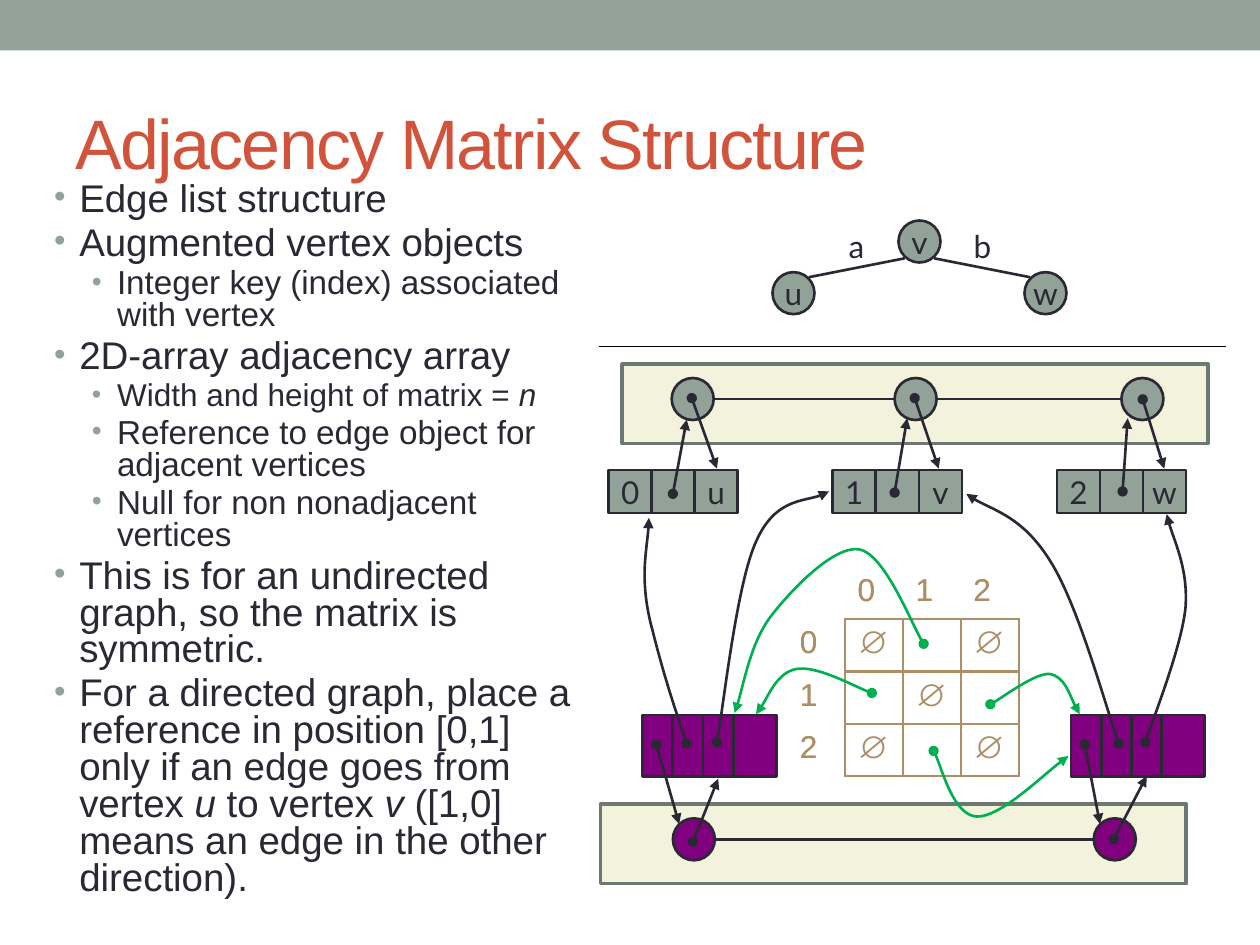
from itertools import accumulate

from lxml import etree
from pptx import Presentation
from pptx.dml.color import RGBColor
from pptx.enum.shapes import MSO_CONNECTOR as LINK, MSO_SHAPE as SHAPE
from pptx.enum.text import MSO_ANCHOR as ANCHOR, PP_ALIGN as ALIGN
from pptx.oxml.ns import qn
from pptx.util import Pt

INK, SAGE, PURPLE, TAN, GREEN = "292934", "93A299", "800080", "AD8F67", "00B050"
CREAM, PANEL_EDGE, RED = "F3F2DC", "6D7871", "D2533C"
NODE = 24

OUTLINE = [  # level, size, runs (every second run is italic)
    (0, 22, ["Edge list structure"]),
    (0, 22, ["Augmented vertex objects"]),
    (1, 19, ["Integer key (index) associated with vertex"]),
    (0, 22, ["2D-array adjacency array"]),
    (1, 18, ["Width and height of matrix = ", "n"]),
    (1, 19, ["Reference to edge object for adjacent vertices"]),
    (1, 19, ["Null for non nonadjacent vertices"]),
    (0, 22, ["This is for an undirected graph, so the matrix is symmetric."]),
    (0, 22, ["For a directed graph, place a reference in position [0,1] only if "
             "an edge goes from vertex ", "u", " to vertex ", "v",
             " ([1,0] means an edge in the other direction)."]),
]
INDEXES = ["0", "1", "2"]
NO_ENTRIES = [["", "", ""]] * 3
NULL_ENTRIES = [["∅", "", "∅"], ["", "∅", ""], ["∅", "", "∅"]]

# Paths of two points are straight; longer ones are Bezier curves
RECORD_REFS = [
    [(56, 281), (70.4, 245)], [(296.5, 279.5), (315.2, 243.5)],
    [(55.3, 27.5), (69.7, 67.8)], [(182.7, 27.5), (196.4, 67.8)], [(313, 28.2), (325.3, 67.8)],
    [(44.5, 82.2), (52.4, 39.8)], [(171.2, 81.5), (178.4, 39)], [(301.5, 80.8), (304.4, 39)],
    [(35.1, 225.5), (48.1, 270.9)], [(279.9, 225.5), (288.6, 270.9)],
    [(69.7, 224.1), (73.3, 204.6), (81.2, 133.4), (92, 109.6),
     (102.8, 85.1), (125.1, 86.6), (133.8, 80.8)],
    [(52.4, 224.8), (48.8, 214), (40.2, 189.5), (33, 160.7),
     (25, 131.9), (30.8, 109.6), (30.8, 95.9)],
    [(299.4, 224.8), (292.9, 207.5), (276.3, 146.3), (260.5, 121.1),
     (244.6, 95.2), (222.3, 90.2), (212.2, 82.2)],
    [(314.5, 224.1), (318.8, 211.1), (335.4, 168.6), (337.5, 147),
     (339, 125.4), (328.9, 104.6), (326.7, 93.8)],
]
MATRIX_REFS = [
    [(158.2, 196), (151, 193.8), (126.6, 180.2), (115, 182.3),
     (104.2, 184.5), (97, 202.5), (92, 208.2)],
    [(187.8, 167.9), (182, 159.3), (165.4, 116.8), (151, 113.9), (136.6, 111.8),
     (112.9, 136.2), (100.6, 152.1), (89.1, 167.2), (84.1, 196), (79.8, 207.5)],
    [(225.9, 202.5), (231.7, 199.6), (251.8, 184.5), (259.8, 185.2),
     (268.4, 186.6), (273.4, 203.2), (277, 208.2)],
    [(193.5, 229.1), (197.1, 234.9), (205, 265.8), (218, 266.6),
     (231, 267.3), (259.8, 239.2), (270.6, 232)],
]


def rgb(colour):
    return RGBColor.from_string(colour)


def set_font(font, colour, **values):
    font.color.rgb = rgb(colour)
    for name, value in values.items():
        setattr(font, name, value)


def set_frame(frame, **values):
    for name, value in values.items():
        setattr(frame, name, value)


def add_xml(parent, tag, **attributes):
    return etree.SubElement(parent, qn(tag), attributes)


def write_label(shape, text):
    set_frame(shape.text_frame, word_wrap=False, vertical_anchor=ANCHOR.MIDDLE,
              margin_left=0, margin_right=0, margin_top=0, margin_bottom=0)
    paragraph = shape.text_frame.paragraphs[0]
    paragraph.text, paragraph.alignment = text, ALIGN.CENTER
    set_font(paragraph.font, INK, name="Lato", size=Pt(18))


def add_block(slide, kind, box, fill, label="", edge=INK, weight=1.5):
    block = slide.shapes.add_shape(kind, *map(Pt, box))
    block.shadow.inherit = False
    block.fill.solid()
    block.fill.fore_color.rgb = rgb(fill)
    if edge:
        block.line.color.rgb, block.line.width = rgb(edge), Pt(weight)
    else:
        block.line.fill.background()
    if label:
        write_label(block, label)


def add_line(slide, start, end, colour=INK, weight=1.5):
    line = slide.shapes.add_connector(LINK.STRAIGHT, *map(Pt, (*start, *end)))
    line.line.color.rgb, line.line.width = rgb(colour), Pt(weight)
    add_xml(line._element.spPr, "a:effectLst")
    return line


def add_curve(slide, points, colour):
    corners = [(Pt(x), Pt(y)) for x, y in points]
    builder = slide.shapes.build_freeform(*corners[0])
    builder.add_line_segments(corners[1:], close=False)
    curve = builder.convert_to_shape()
    curve.shadow.inherit = False
    curve.fill.background()
    curve.line.color.rgb, curve.line.width = rgb(colour), Pt(1.5)
    # Each three straight segments become one cubic segment
    segments = list(curve._element.iter(qn("a:lnTo")))
    outline = segments[0].getparent()
    for first in range(0, len(segments), 3):
        cubic = add_xml(outline, "a:cubicBezTo")
        for segment in segments[first:first + 3]:
            cubic.append(segment[0])
            outline.remove(segment)
    return curve


def add_title(slide, box, text):
    title = slide.shapes.title
    title.left, title.top, title.width, title.height = map(Pt, box)
    set_frame(title.text_frame, text=text, vertical_anchor=ANCHOR.MIDDLE, word_wrap=True)
    paragraph = title.text_frame.paragraphs[0]
    paragraph.alignment = ALIGN.LEFT
    run = paragraph.runs[0]
    set_font(run.font, RED, name="Arial", size=Pt(40))
    run._r.get_or_add_rPr().set("spc", "-100")


def add_outline(slide, box):
    frame = slide.shapes.add_textbox(*map(Pt, box)).text_frame
    frame.word_wrap = True
    for index, (level, size, runs) in enumerate(OUTLINE):
        paragraph = frame.add_paragraph() if index else frame.paragraphs[0]
        paragraph.level, paragraph.line_spacing = level, 0.8
        if index:
            paragraph.space_before = Pt(round(0.18 * size, 1))
        properties = paragraph._p.get_or_add_pPr()
        properties.set("marL", str(Pt(14.4 + 21.6 * level)))
        properties.set("indent", str(-Pt(14.4)))
        add_xml(add_xml(properties, "a:buClr"), "a:srgbClr", val=SAGE)
        add_xml(properties, "a:buSzPct", val="85000")
        add_xml(properties, "a:buFont", typeface="Arial")
        add_xml(properties, "a:buChar", char="•")
        for place, text in enumerate(runs):
            run = paragraph.add_run()
            run.text = text
            set_font(run.font, INK, name="Arial", size=Pt(size), italic=place % 2 == 1)


def add_sketch(slide, left, top):
    """The small graph: u - a - v - b - w."""
    for start, end in [((75.6, 21.6), (20.8, 32.4)), ((92.4, 21.6), (147.2, 32.4))]:
        add_line(slide, (left + start[0], top + start[1]), (left + end[0], top + end[1]))
    for name, x, y in [("u", 0, 29.5), ("v", 72, 0), ("w", 144, 29.5)]:
        add_block(slide, SHAPE.OVAL, (left + x, top + y, NODE, NODE), SAGE, name)
    for name, x in [("a", 36), ("b", 108)]:
        write_label(slide.shapes.add_textbox(*map(Pt, (left + x, top, 24, 28.8))), name)


def add_sequence(slide, box, fill, offsets):
    """A panel holding a chain of list nodes."""
    left, top = box[:2]
    add_block(slide, SHAPE.RECTANGLE, box, CREAM, edge=PANEL_EDGE, weight=2.08)
    middle = top + 8 + NODE / 2
    add_line(slide, (left + offsets[-1], middle), (left + offsets[0] + NODE, middle))
    for offset in offsets:
        add_block(slide, SHAPE.OVAL, (left + offset, top + 8, NODE, NODE), fill)


def add_record(slide, left, top, height, widths, fill, labels):
    for x, width, label in zip(accumulate(widths, initial=left), widths, labels):
        add_block(slide, SHAPE.RECTANGLE, (x, top, width, height), fill, label)


def add_matrix(slide, left, top, cell_width, cell_height, entries):
    rows = [["", *INDEXES]] + [[index, *line] for index, line in zip(INDEXES, entries)]
    count = len(rows)
    table = slide.shapes.add_table(count, count, *map(Pt, (
        left, top, count * cell_width, count * cell_height))).table
    table.first_row = table.horz_banding = False
    for row, texts in enumerate(rows):
        table.rows[row].height = Pt(cell_height)
        table.columns[row].width = Pt(cell_width)
        for column, text in enumerate(texts):
            cell = table.cell(row, column)
            cell.text = text
            set_font(cell.text_frame.paragraphs[0].font, TAN, name="Arial",
                     size=Pt(18), bold=text == "∅")
            properties = cell._tc.get_or_add_tcPr()
            inner = row and column
            drawn = {"L": inner, "R": inner or row, "T": inner, "B": inner or column}
            for side, visible in drawn.items():
                border = add_xml(properties, f"a:ln{side}", w=str(Pt(1.5)))
                if visible:
                    add_xml(add_xml(border, "a:solidFill"), "a:srgbClr", val=TAN)
                else:
                    add_xml(border, "a:noFill")
            cell.fill.background()


def add_references(slide, left, top, paths, colour):
    for offsets in paths:
        points = [(left + x, top + y) for x, y in offsets]
        if len(points) == 2:
            reference = add_line(slide, *points, colour)
        else:
            reference = add_curve(slide, points, colour)
        stroke = reference.line._get_or_add_ln()
        add_xml(stroke, "a:headEnd", type="oval")
        add_xml(stroke, "a:tailEnd", type="triangle")


def main():
    deck = Presentation()
    deck.slide_width, deck.slide_height = Pt(720), Pt(540)
    slide = deck.slides.add_slide(deck.slide_layouts[5])
    # Band, title and outline
    add_block(slide, SHAPE.RECTANGLE, (0, 0, 720, 28.8), SAGE, edge=None)
    add_title(slide, (36, 41.8, 648, 77.8), "Adjacency Matrix Structure")
    add_outline(slide, (23.8, 100.8, 318.2, 371.5))
    # Graph sketch above the divider
    add_sketch(slide, 441.4, 126)
    add_line(slide, (342, 198), (700.6, 198), "000000", 0.75)
    # Vertex and edge sequences with their records
    add_sequence(slide, (355.4, 208, 334.8, 45.4), SAGE, [28.4, 155.8, 285.4])
    add_sequence(slide, (343.1, 459.6, 334.8, 45.4), PURPLE, [41.4, 281.9])
    for index, name in enumerate("uvw"):
        add_record(slide, 347.8 + 128.1 * index, 268.6, 24.5, [24.6] * 3, SAGE,
                   [str(index), "", name])
    for left in (367.2, 612):
        add_record(slide, left, 408.6, 35.3, [17.3] * 3 + [24.5], PURPLE, [""] * 4)
    # Matrix grid with its null entries laid over it, then the references
    for entries in (NO_ENTRIES, NULL_ENTRIES):
        add_matrix(slide, 449.8, 323.9, 33.1, 29.9, entries)
    add_references(slide, 340, 200, RECORD_REFS, INK)
    add_references(slide, 340, 200, MATRIX_REFS, GREEN)
    deck.save("out.pptx")


if __name__ == "__main__":
    main()
